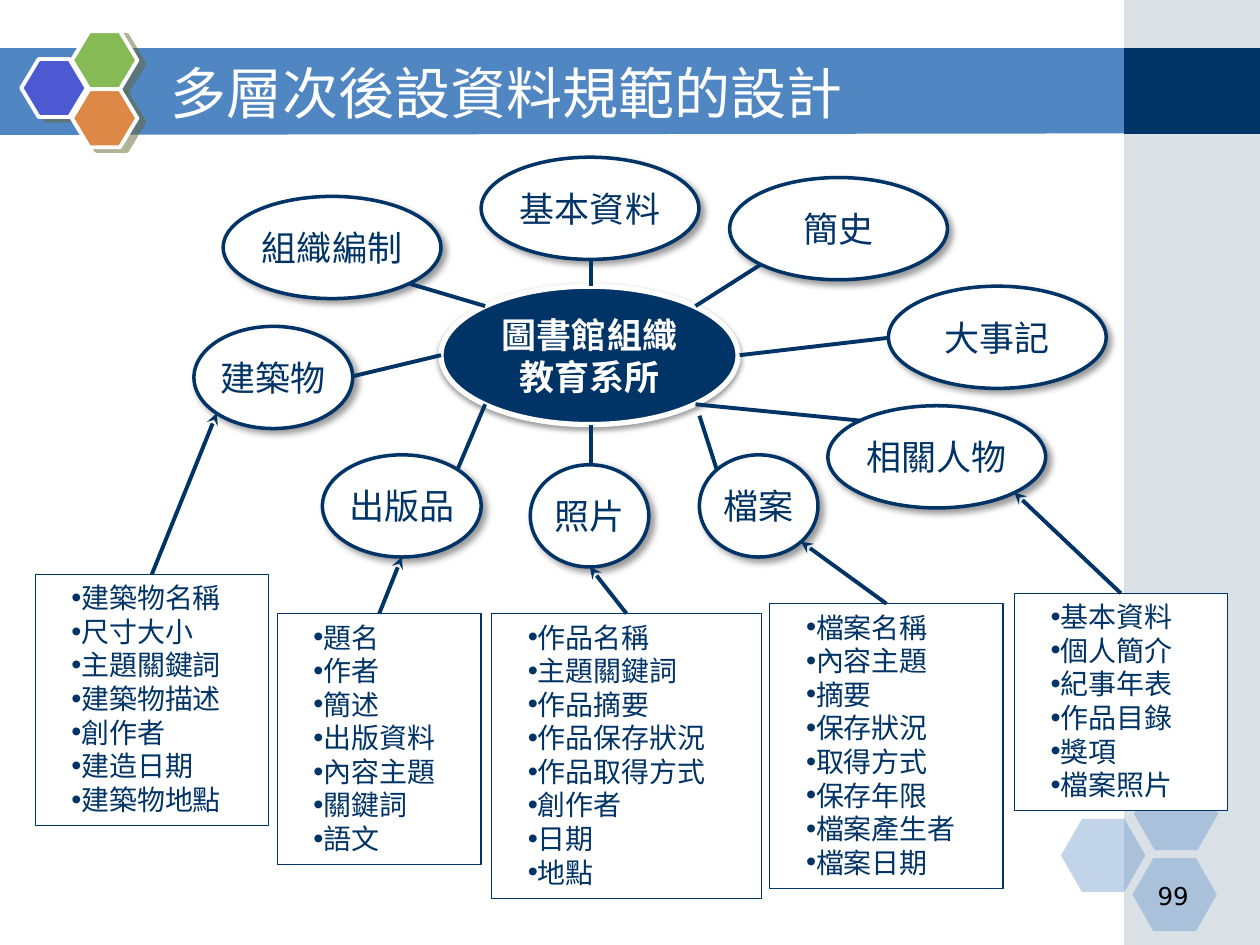
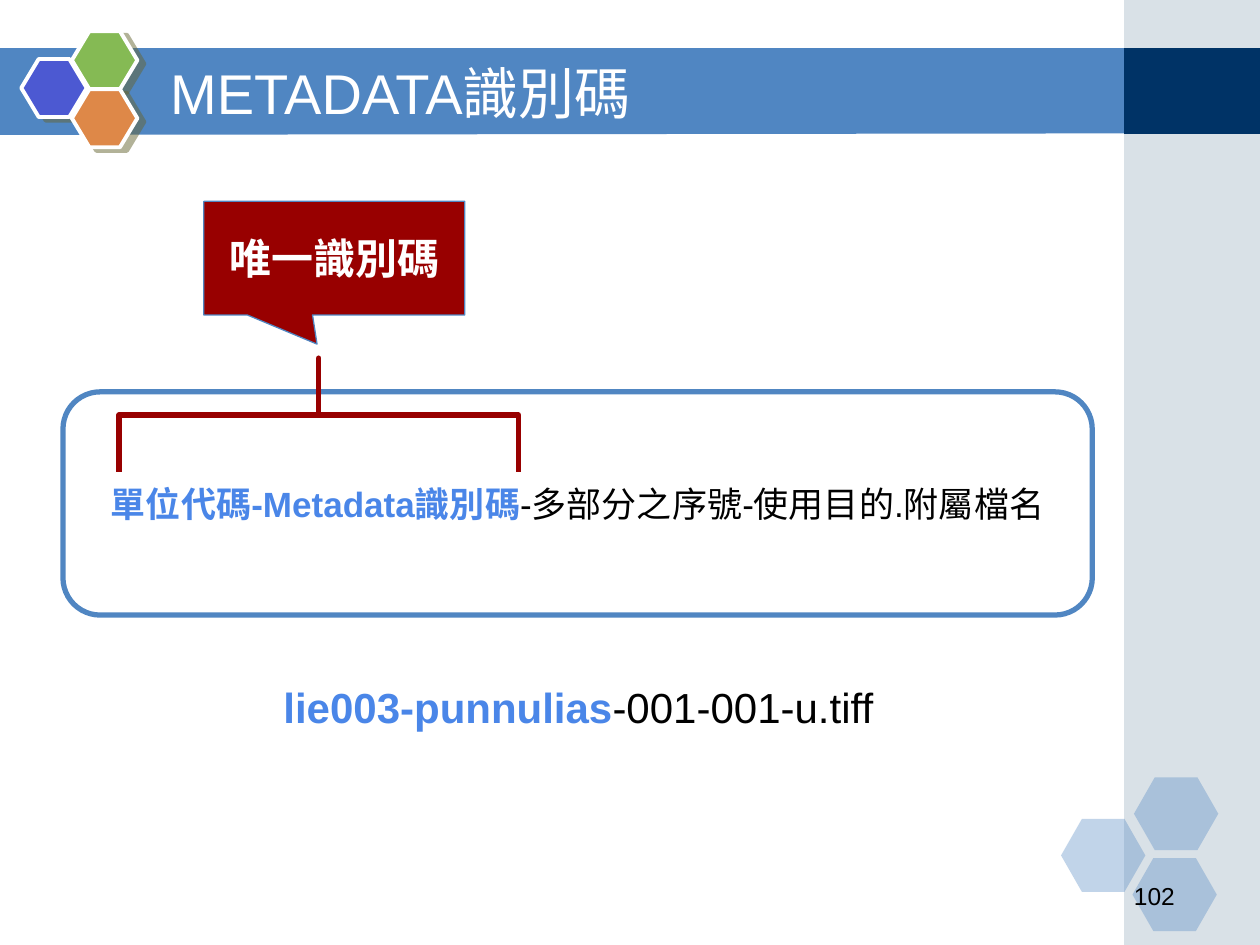
from dataclasses import dataclass
from typing import NamedTuple, Optional

from lxml.etree import SubElement
from pptx import Presentation
from pptx.dml.color import RGBColor
from pptx.enum.shapes import MSO_CONNECTOR, MSO_SHAPE
from pptx.enum.text import MSO_ANCHOR, MSO_AUTO_SIZE, PP_ALIGN
from pptx.oxml.ns import qn
from pptx.util import Cm, Pt


@dataclass(frozen=True)
class Theme:
    navy: str = "003366"
    blue: str = "5086C2"
    side_band: str = "A0B5C4"
    indigo: str = "4C59D2"
    green: str = "85BA54"
    orange: str = "DE8848"
    red: str = "980000"
    code_blue: str = "4A86E8"
    white: str = "FFFFFF"
    black: str = "000000"
    font: str = "Arial"
    number_font: str = "DejaVu Sans"
    title_size: int = 32
    large_size: int = 24
    label_size: int = 20
    list_size: int = 16
    number_size: int = 14


THEME = Theme()


class Point(NamedTuple):
    x: float
    y: float


class Box(NamedTuple):
    left: float
    top: float
    width: float
    height: float

    def lengths(self) -> list:
        return [Cm(value) for value in self]


class Shadow(NamedTuple):
    color: str
    opacity: int
    blur: float
    distance: float
    angle: int


class Text(NamedTuple):
    text: str
    size: int
    color: str
    bold: bool = False
    font: str = THEME.font


class Topic(NamedTuple):
    name: str
    left: float
    top: float
    width: float
    outer: Point
    inner: Point


class FieldList(NamedTuple):
    left: float
    top: float
    width: float
    arrow_tip: Point
    fields: str


HUB_SHADOW = Shadow(THEME.black, 38, 3.1, 1.6, 90)
TOPIC_SHADOW = Shadow(THEME.black, 40, 4, 3, 45)
HEXAGON_SHADOW = Shadow("666633", 50, 0, 4.5, 27)

WIDE, MEDIUM, NARROW = 4.39, 3.2, 2.39
TOPIC_HEIGHT = 2.06
TOPICS = [
    Topic("基本資料", 9.7, 3.17, WIDE, Point(11.91, 5.23), Point(11.91, 5.77)),
    Topic("簡史", 14.71, 3.58, WIDE, Point(15.34, 5.33), Point(14.02, 6.17)),
    Topic("大事記", 17.91, 5.77, WIDE, Point(17.91, 6.81), Point(14.91, 7.16)),
    Topic("相關人物", 16.69, 8.18, WIDE, Point(17.35, 8.48), Point(14.02, 8.15)),
    Topic("檔案", 14.1, 9.17, NARROW, Point(14.45, 9.47), Point(14.1, 8.38)),
    Topic("照片", 10.69, 9.37, NARROW, Point(11.91, 9.37), Point(11.91, 8.56)),
    Topic("出版品", 6.5, 9.17, MEDIUM, Point(9.22, 9.47), Point(9.78, 8.15)),
    Topic("建築物", 3.91, 6.58, MEDIUM, Point(7.09, 7.59), Point(8.89, 7.16)),
    Topic("組織編制", 4.5, 3.96, WIDE, Point(8.26, 5.72), Point(9.78, 6.17)),
]
FIELD_LISTS = [
    FieldList(20.45, 11.96, 4.29, Point(20.45, 9.93),
              "基本資料 個人簡介 紀事年表 作品目錄 獎項 檔案照片"),
    FieldList(15.52, 12.17, 4.7, Point(16.15, 10.92),
              "檔案名稱 內容主題 摘要 保存狀況 取得方式 保存年限 檔案產生者 檔案日期"),
    FieldList(9.91, 12.37, 5.44, Point(11.89, 11.43),
              "作品名稱 主題關鍵詞 作品摘要 作品保存狀況 作品取得方式 創作者 日期 地點"),
    FieldList(5.59, 12.37, 4.11, Point(8.1, 11.23),
              "題名 作者 簡述 出版資料 內容主題 關鍵詞 語文"),
    FieldList(0.71, 11.58, 4.7, Point(4.37, 8.33),
              "建築物名稱 尺寸大小 主題關鍵詞 建築物描述 創作者 建造日期 建築物地點"),
]


# Drawing helpers
def rgb(color: str) -> RGBColor:
    return RGBColor.from_string(color)


def add_shadow(shape, shadow: Shadow) -> None:
    effects = shape.element.spPr.find(qn("a:effectLst"))
    outer = SubElement(effects, qn("a:outerShdw"), blurRad=str(Pt(shadow.blur)),
                       dist=str(Pt(shadow.distance)), dir=str(shadow.angle * 60000),
                       algn="ctr", rotWithShape="0")
    color = SubElement(outer, qn("a:srgbClr"), val=shadow.color)
    SubElement(color, qn("a:alpha"), val=str(shadow.opacity * 1000))


def style(shape, fill: Optional[str], line: Optional[str] = None, line_width: float = 1,
          opacity: int = 100, shadow: Optional[Shadow] = None) -> None:
    shape.shadow.inherit = False
    if fill:
        shape.fill.solid()
        shape.fill.fore_color.rgb = rgb(fill)
        if opacity < 100:
            color = shape.element.spPr.find(qn("a:solidFill")).find(qn("a:srgbClr"))
            SubElement(color, qn("a:alpha"), val=str(opacity * 1000))
    else:
        shape.fill.background()
    if line:
        shape.line.color.rgb = rgb(line)
        shape.line.width = Pt(line_width)
    else:
        shape.line.fill.background()
    if shadow:
        add_shadow(shape, shadow)


def add_shape(slide, kind, box: Box, fill: Optional[str], adjustments: tuple = (), **look):
    shape = slide.shapes.add_shape(kind, *box.lengths())
    for index, value in enumerate(adjustments):
        shape.adjustments[index] = value
    style(shape, fill, **look)
    return shape


def add_run(paragraph, text: Text) -> None:
    run = paragraph.add_run()
    run.text = text.text
    run.font.name = text.font
    run.font.size = Pt(text.size)
    run.font.bold = text.bold
    run.font.color.rgb = rgb(text.color)


def set_text(shape, runs: list[Text], align=PP_ALIGN.CENTER,
             side_inset: float = 0.25, end_inset: float = 0.13) -> None:
    frame = shape.text_frame
    frame.word_wrap = True
    frame.auto_size = MSO_AUTO_SIZE.NONE
    frame.vertical_anchor = MSO_ANCHOR.MIDDLE
    frame.margin_left = frame.margin_right = Cm(side_inset)
    frame.margin_top = frame.margin_bottom = Cm(end_inset)
    paragraph = frame.paragraphs[0]
    paragraph.alignment = align
    for text in runs:
        add_run(paragraph, text)


def add_line(slide, start: Point, end: Point, arrow: bool = False) -> None:
    ends = [Cm(value) for value in (*start, *end)]
    connector = slide.shapes.add_connector(MSO_CONNECTOR.STRAIGHT, *ends)
    connector.line.color.rgb = rgb(THEME.navy)
    connector.line.width = Pt(2.25)
    properties = connector.element.spPr
    if arrow:
        SubElement(properties.find(qn("a:ln")), qn("a:tailEnd"), type="stealth")
    SubElement(properties, qn("a:effectLst"))


# Parts shared by every slide
def add_background(slide) -> None:
    builder = slide.shapes.build_freeform(Cm(0), Cm(0.97))
    corners = [(22.73, 0.97), (22.73, 2.69), (0, 2.72)]
    builder.add_line_segments([(Cm(x), Cm(y)) for x, y in corners])
    style(builder.convert_to_shape(), THEME.blue)

    add_shape(slide, MSO_SHAPE.RECTANGLE, Box(22.66, 0, 2.74, 19.05),
              THEME.side_band, opacity=40)
    add_shape(slide, MSO_SHAPE.RECTANGLE, Box(22.66, 0.97, 2.74, 1.73), THEME.navy)
    for left, top in [(21.39, 16.51), (22.86, 15.67), (22.83, 17.3)]:
        add_shape(slide, MSO_SHAPE.HEXAGON, Box(left, top, 1.7, 1.47),
                  THEME.blue, (0.286,), opacity=35)
    for left, top, color in [(0.43, 1.19, THEME.indigo), (1.45, 0.63, THEME.green),
                             (1.45, 1.8, THEME.orange)]:
        add_shape(slide, MSO_SHAPE.HEXAGON, Box(left, top, 1.32, 1.17), color, (0.3,),
                  line=THEME.white, line_width=2.25, shadow=HEXAGON_SHADOW)


def move_to_layout(slide) -> None:
    """Put the drawn background behind the layout's placeholders."""
    tree = slide.slide_layout.shapes.element
    drawn = [shape for shape in slide.shapes if not shape.is_placeholder]
    for index, shape in enumerate(drawn):
        shape.element.nvSpPr.cNvPr.set("id", str(100 + index))
        tree.insert(2 + index, shape.element)


def add_heading(slide, title: str, number: str, number_font: str, number_align) -> None:
    heading = slide.shapes.title
    heading.left, heading.top, heading.width, heading.height = Box(
        3.18, 1.07, 18.62, 1.57).lengths()
    set_text(heading, [Text(title, THEME.title_size, THEME.white)], PP_ALIGN.LEFT)
    number_box = slide.shapes.add_textbox(*Box(22.61, 17.73, 2.08, 0.64).lengths())
    set_text(number_box, [Text(number, THEME.number_size, THEME.black, font=number_font)],
             number_align)


# Metadata map slide
def add_topic(slide, topic: Topic) -> None:
    box = Box(topic.left, topic.top, topic.width, TOPIC_HEIGHT)
    ellipse = add_shape(slide, MSO_SHAPE.OVAL, box, THEME.white, line=THEME.navy,
                        line_width=2, shadow=TOPIC_SHADOW)
    set_text(ellipse, [Text(topic.name, THEME.label_size, THEME.navy)], side_inset=0)
    add_line(slide, topic.outer, topic.inner)


def add_bullet(paragraph) -> None:
    properties = paragraph._p.get_or_add_pPr()
    properties.set("marL", "0")
    properties.set("indent", str(Cm(0.48)))
    SubElement(SubElement(properties, qn("a:buClr")), qn("a:srgbClr"), val=THEME.navy)
    SubElement(properties, qn("a:buSzPct"), val="103000")
    SubElement(properties, qn("a:buFont"), typeface=THEME.font)
    SubElement(properties, qn("a:buChar"), char="•")


def add_field_list(slide, field_list: FieldList) -> None:
    fields = field_list.fields.split()
    box = Box(field_list.left, field_list.top, field_list.width, 0.68 * len(fields) + 0.3)
    shape = add_shape(slide, MSO_SHAPE.RECTANGLE, box, THEME.white, line=THEME.navy,
                      line_width=0.75)
    set_text(shape, [], PP_ALIGN.LEFT)
    frame = shape.text_frame
    frame.vertical_anchor = MSO_ANCHOR.TOP
    for index, field in enumerate(fields):
        paragraph = frame.add_paragraph() if index else frame.paragraphs[0]
        paragraph.alignment = PP_ALIGN.LEFT
        add_bullet(paragraph)
        add_run(paragraph, Text(field, THEME.list_size, THEME.navy))
    top_center = Point(box.left + box.width / 2, box.top)
    add_line(slide, top_center, field_list.arrow_tip, arrow=True)


def build_map(slide) -> None:
    add_heading(slide, "多層次後設資料規範的設計", "99", THEME.number_font, PP_ALIGN.CENTER)
    hub = add_shape(slide, MSO_SHAPE.OVAL, Box(8.89, 5.77, 5.99, 2.79), THEME.navy,
                    line=THEME.white, line_width=3, shadow=HUB_SHADOW)
    set_text(hub, [Text("圖書館組織教育系所", THEME.label_size, THEME.white, True)])
    for topic in TOPICS:
        add_topic(slide, topic)
    for field_list in FIELD_LISTS:
        add_field_list(slide, field_list)


# Identifier slide
def build_identifier(slide) -> None:
    add_heading(slide, "METADATA識別碼", "102", THEME.font, PP_ALIGN.LEFT)
    pattern = add_shape(slide, MSO_SHAPE.ROUNDED_RECTANGLE, Box(1.27, 7.9, 20.75, 4.5),
                        THEME.white, line=THEME.blue, line_width=3)
    set_text(pattern, [
        Text("單位代碼-Metadata識別碼", THEME.label_size, THEME.code_blue, True),
        Text("-多部分之序號-使用目的.附屬檔名", THEME.label_size, THEME.black),
    ], end_inset=0.25)

    brace = add_shape(slide, MSO_SHAPE.LEFT_BRACE, Box(5.28, 4.34, 2.29, 8.05), None,
                      (0, 0.5), line=THEME.red, line_width=3)
    brace.rotation = 90
    callout = add_shape(slide, MSO_SHAPE.ROUNDED_RECTANGULAR_CALLOUT,
                        Box(4.11, 4.06, 5.26, 2.29), THEME.red, (-0.066, 0.757, 0),
                        line=THEME.blue, line_width=0.75)
    set_text(callout, [Text("唯一識別碼", THEME.large_size, THEME.white, True)],
             end_inset=0.25)

    example = slide.shapes.add_textbox(*Box(4.98, 12.4, 13.36, 3.71).lengths())
    set_text(example, [
        Text("lie003-punnulias", THEME.large_size, THEME.code_blue, True),
        Text("-001-001-u.tiff", THEME.large_size, THEME.black),
    ], end_inset=0.25)


def main() -> None:
    presentation = Presentation()
    presentation.slide_width, presentation.slide_height = Cm(25.4), Cm(19.05)
    title_only = presentation.slide_layouts[5]
    map_slide = presentation.slides.add_slide(title_only)
    add_background(map_slide)
    move_to_layout(map_slide)
    build_map(map_slide)
    build_identifier(presentation.slides.add_slide(title_only))
    presentation.save("out.pptx")


if __name__ == "__main__":
    main()
